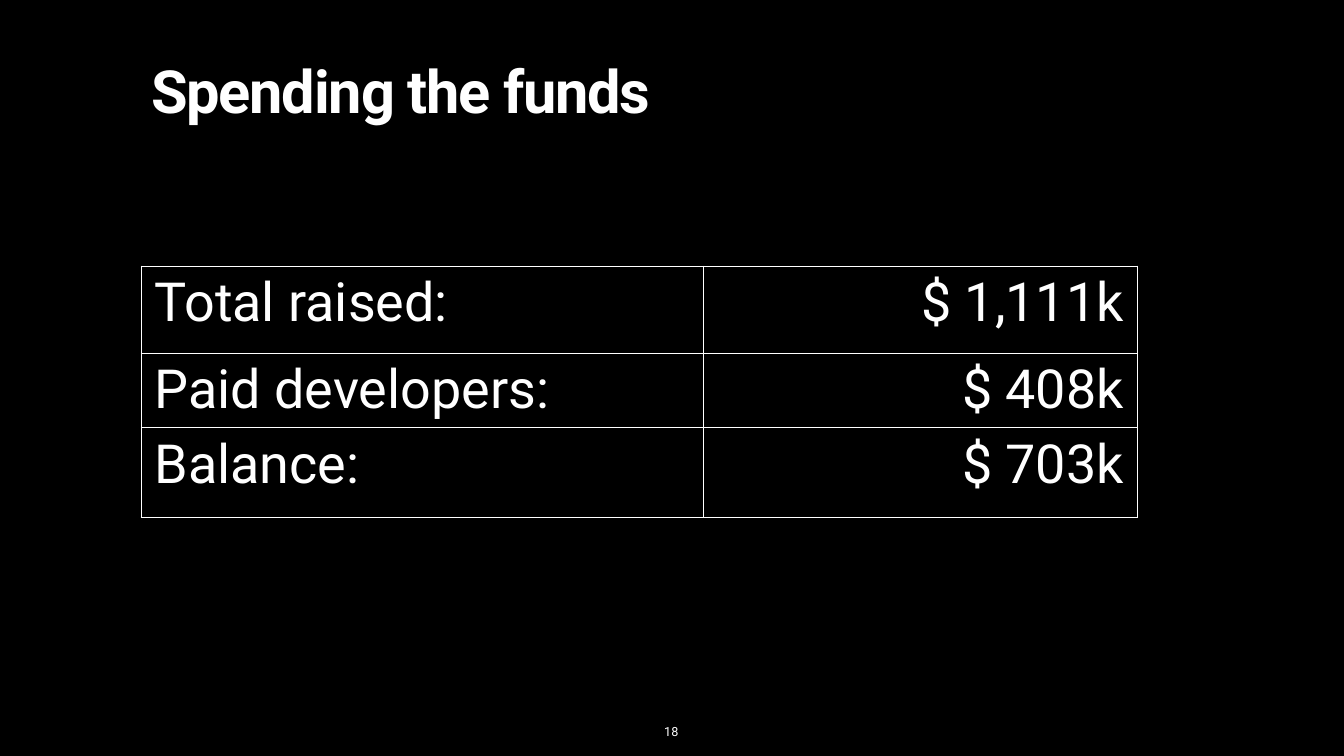
import pptx
import pptx.util
import pptx.dml.color
import pptx.enum.text
import pptx.oxml
import pptx.oxml.ns

Pt = pptx.util.Pt
Align = pptx.enum.text.PP_ALIGN
Anchor = pptx.enum.text.MSO_ANCHOR
BLACK = pptx.dml.color.RGBColor(0, 0, 0)
WHITE = pptx.dml.color.RGBColor(255, 255, 255)
FONT = "Roboto"
FUNDS = [
    ("Total raised:", "$ 1,111k"),
    ("Paid developers:", "$ 408k"),
    ("Balance:", "$ 703k"),
]


def add_run(para, text, size, bold=False):
    run = para.add_run()
    run.text = text
    run.font.name = FONT
    run.font.size = Pt(size)
    run.font.bold = bold
    run.font.color.rgb = WHITE
    return run


def set_frame(frame, left, pad=4.5):
    frame.margin_left = Pt(left)
    frame.margin_right = frame.margin_top = frame.margin_bottom = Pt(pad)
    frame.vertical_anchor = Anchor.BOTTOM
    frame.auto_size = pptx.enum.text.MSO_AUTO_SIZE.NONE


def add_title(slide, text):
    title = slide.shapes.title
    title.left, title.top = Pt(79), Pt(47.5)
    title.width, title.height = Pt(1695), Pt(135.5)
    set_frame(title.text_frame, 137)
    para = title.text_frame.paragraphs[0]
    para.alignment = Align.LEFT
    para.line_spacing = 0.8
    run = add_run(para, text, 85, True)
    run.font._element.set("spc", "-170")


def add_number(slide, text):
    box = slide.shapes.add_textbox(Pt(944.6), Pt(1030.3), Pt(28.8), Pt(29.5))
    set_frame(box.text_frame, 4.5)
    box.text_frame.word_wrap = False
    para = box.text_frame.paragraphs[0]
    para.alignment = Align.CENTER
    add_run(para, text, 18)


def add_edges(cell):
    props = cell._tc.get_or_add_tcPr()
    for side in ("lnL", "lnR", "lnT", "lnB"):
        props.append(pptx.oxml.parse_xml(
            f'<a:{side} {pptx.oxml.ns.nsdecls("a")} w="12700"><a:solidFill>'
            f'<a:srgbClr val="{WHITE}"/></a:solidFill></a:{side}>'))


def fill_cell(cell, text, align):
    cell.margin_left = cell.margin_right = Pt(19.5)
    cell.margin_top = cell.margin_bottom = Pt(8)
    cell.vertical_anchor = Anchor.TOP
    add_edges(cell)
    cell.fill.background()
    para = cell.text_frame.paragraphs[0]
    para.alignment = align
    add_run(para, text, 77)


def add_funds(slide):
    frame = slide.shapes.add_table(
        len(FUNDS), 2, Pt(201.6), Pt(380), Pt(1423.5), Pt(356.4))
    table = frame.table
    table.first_row = table.horz_banding = False
    for col, width in zip(table.columns, (803.5, 620)):
        col.width = Pt(width)
    for row, height in zip(table.rows, (124.5, 103.7, 128.2)):
        row.height = Pt(height)
    for row, texts in zip(table.rows, FUNDS):
        for cell, text, align in zip(row.cells, texts, (Align.LEFT, Align.RIGHT)):
            fill_cell(cell, text, align)


def main():
    deck = pptx.Presentation()
    deck.slide_width, deck.slide_height = Pt(1920), Pt(1080)
    slide = deck.slides.add_slide(deck.slide_layouts[5])
    slide.background.fill.solid()
    slide.background.fill.fore_color.rgb = BLACK
    add_number(slide, "18")
    add_title(slide, "Spending the funds")
    add_funds(slide)
    deck.save("out.pptx")


if __name__ == "__main__":
    main()
